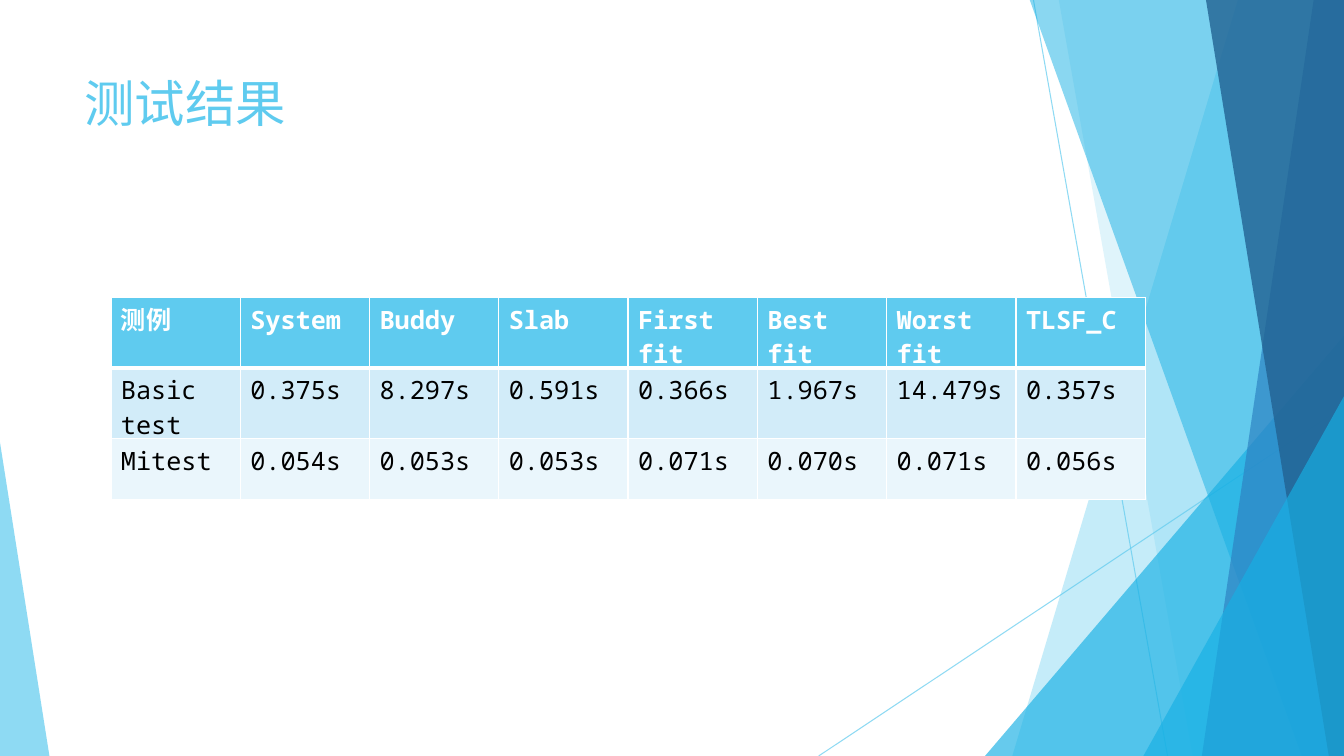
import dataclasses

import lxml.etree
import pptx
import pptx.dml.color
import pptx.enum.shapes
import pptx.enum.text
import pptx.oxml
import pptx.oxml.ns
import pptx.util

Inches = pptx.util.Inches
qn = pptx.oxml.ns.qn


@dataclasses.dataclass(frozen=True)
class Theme:
    """Colours, font and type sizes of the deck."""
    sky: str = "5FCBEF"
    cyan: str = "17B0E4"
    blue: str = "2E83C3"
    navy: str = "226292"
    white: str = "FFFFFF"
    black: str = "000000"
    bands: tuple = ("D2ECF9", "EAF6FC")
    font: str = "Noto Sans Mono"
    title_size: int = 36
    table_size: int = 18


THEME = Theme()
WIDTH, HEIGHT = 13.33, 7.5

RESULTS = [
    ["测例", "System", "Buddy", "Slab", "First fit", "Best fit", "Worst fit", "TLSF_C"],
    ["Basic test", "0.375s", "8.297s", "0.591s", "0.366s", "1.967s", "14.479s", "0.357s"],
    ["Mitest", "0.054s", "0.053s", "0.053s", "0.071s", "0.070s", "0.071s", "0.056s"],
]


def rgb(colour):
    """Turn a hex string into a colour."""
    return pptx.dml.color.RGBColor.from_string(colour)


def set_solid(fill, colour, opacity=100):
    """Fill with one colour at an opacity in percent."""
    fill.solid()
    fill.fore_color.rgb = rgb(colour)
    if opacity < 100:
        node = fill._xPr.find(qn("a:solidFill"))[0]
        lxml.etree.SubElement(node, qn("a:alpha")).set("val", str(opacity * 1000))


def add_text(para, text, size, colour, bold=False):
    """Add one run in the deck font, for Latin and Chinese alike."""
    span = para.add_run()
    span.text = text
    span.font.size = pptx.util.Pt(size)
    span.font.bold = bold
    span.font.color.rgb = rgb(colour)
    span.font.name = THEME.font
    east_asian = lxml.etree.SubElement(span.font._element, qn("a:ea"))
    east_asian.set("typeface", THEME.font)


def finish_facet(shape, colour, opacity):
    """Give a facet its translucent fill without outline or shadow."""
    shape.shadow.inherit = False
    shape.line.fill.background()
    set_solid(shape.fill, colour, opacity)


def add_ray(page, start, end):
    """Draw one thin translucent line."""
    ray = page.shapes.add_connector(
        pptx.enum.shapes.MSO_CONNECTOR.STRAIGHT,
        *(Inches(value) for value in start + end))
    ray.line.width = pptx.util.Pt(0.75)
    set_solid(ray.line.fill, THEME.sky, 70)
    lxml.etree.SubElement(ray._element.spPr, qn("a:effectLst"))


def add_shard(page, box, top_left, bottom_left, colour, opacity):
    """Draw a facet that runs from a slanted left side to the box's right edge."""
    left, top, width, height = box
    right, bottom = left + width, top + height
    corners = [(top_left, top), (right, top), (right, bottom), (bottom_left, bottom)]
    points = [(Inches(x), Inches(y)) for x, y in corners]
    builder = page.shapes.build_freeform(*points[0])
    builder.add_line_segments(points[1:], close=True)
    finish_facet(builder.convert_to_shape(), colour, opacity)


def add_wedge(page, box, apex, colour, opacity):
    """Draw a triangle standing on the bottom edge of the slide."""
    wedge = page.shapes.add_shape(
        pptx.enum.shapes.MSO_SHAPE.ISOSCELES_TRIANGLE, *(Inches(value) for value in box))
    wedge.adjustments[0] = apex
    finish_facet(wedge, colour, opacity)


def add_facets(page, box):
    """Decorate the edges of the box with rays, shards and wedges."""
    left, top, width, height = box
    right, bottom = left + width, top + height
    shard_box = (left, top - 0.01, width, height + 0.01)

    def corner_wedge(wide, high):
        add_wedge(page, (right - wide, bottom - high, wide, high), 1, THEME.cyan, 66)

    add_ray(page, (10.25, top), (11.58, bottom))
    add_ray(page, (right, 4.03), (8.12, bottom))
    add_shard(page, shard_box, 12.28, 10.04, THEME.sky, 36)
    add_shard(page, shard_box, 10.5, 11.83, THEME.sky, 20)
    corner_wedge(3.56, 4.17)
    add_shard(page, shard_box, 10.21, 12.91, THEME.cyan, 50)
    add_shard(page, shard_box, 13.03, 11.92, THEME.blue, 70)
    add_shard(page, shard_box, 11.96, 13.18, THEME.navy, 80)
    corner_wedge(1.99, 3.57)
    add_wedge(page, (left, bottom - 3.11, 0.49, 3.11), 0, THEME.sky, 70)


def add_title(page, box, text):
    """Place the slide title at the top of the box."""
    frame = page.shapes.add_textbox(*(Inches(value) for value in box)).text_frame
    frame.word_wrap = True
    frame.vertical_anchor = pptx.enum.text.MSO_ANCHOR.TOP
    add_text(frame.paragraphs[0], text, THEME.title_size, THEME.sky)


def set_borders(cell, top, bottom):
    """Draw white cell borders, with top and bottom widths in points."""
    properties = cell._tc.get_or_add_tcPr()
    for side, width in (("L", 1), ("R", 1), ("T", top), ("B", bottom)):
        line = lxml.etree.SubElement(properties, qn(f"a:ln{side}"))
        line.set("w", str(pptx.util.Pt(width)))
        solid = lxml.etree.SubElement(line, qn("a:solidFill"))
        lxml.etree.SubElement(solid, qn("a:srgbClr")).set("val", THEME.white)


def add_results(page, box, rows):
    """Fill the box with the table of timings under a header row."""
    frame = page.shapes.add_table(
        len(rows), len(rows[0]), *(Inches(value) for value in box))
    table = frame.table
    table.horz_banding = False
    for column in table.columns:
        column.width = Inches(box[2] / len(rows[0]))
    for index, values in enumerate(rows):
        header = index == 0
        table.rows[index].height = Inches(box[3] / len(rows))
        fill = THEME.sky if header else THEME.bands[(index - 1) % 2]
        colour = THEME.white if header else THEME.black
        for cell, value in zip(table.rows[index].cells, values):
            set_borders(cell, 3 if index == 1 else 1, 3 if header else 1)
            set_solid(cell.fill, fill)
            add_text(cell.text_frame.paragraphs[0], value,
                     THEME.table_size, colour, header)


def build_results_page(deck):
    """Add the slide with the test results."""
    page = deck.slides.add_slide(deck.slide_layouts[6])
    set_solid(page.background.fill, THEME.white)
    add_facets(page, (0, 0, WIDTH, HEIGHT))
    add_title(page, (0.74, 0.67, 9.4, 1.44), "测试结果")
    add_results(page, (1.1, 2.95, 10.26, 1.81), RESULTS)


def main():
    """Build and save the deck."""
    deck = pptx.Presentation()
    deck.slide_width, deck.slide_height = Inches(WIDTH), Inches(HEIGHT)
    build_results_page(deck)
    deck.save("out.pptx")


if __name__ == "__main__":
    main()
